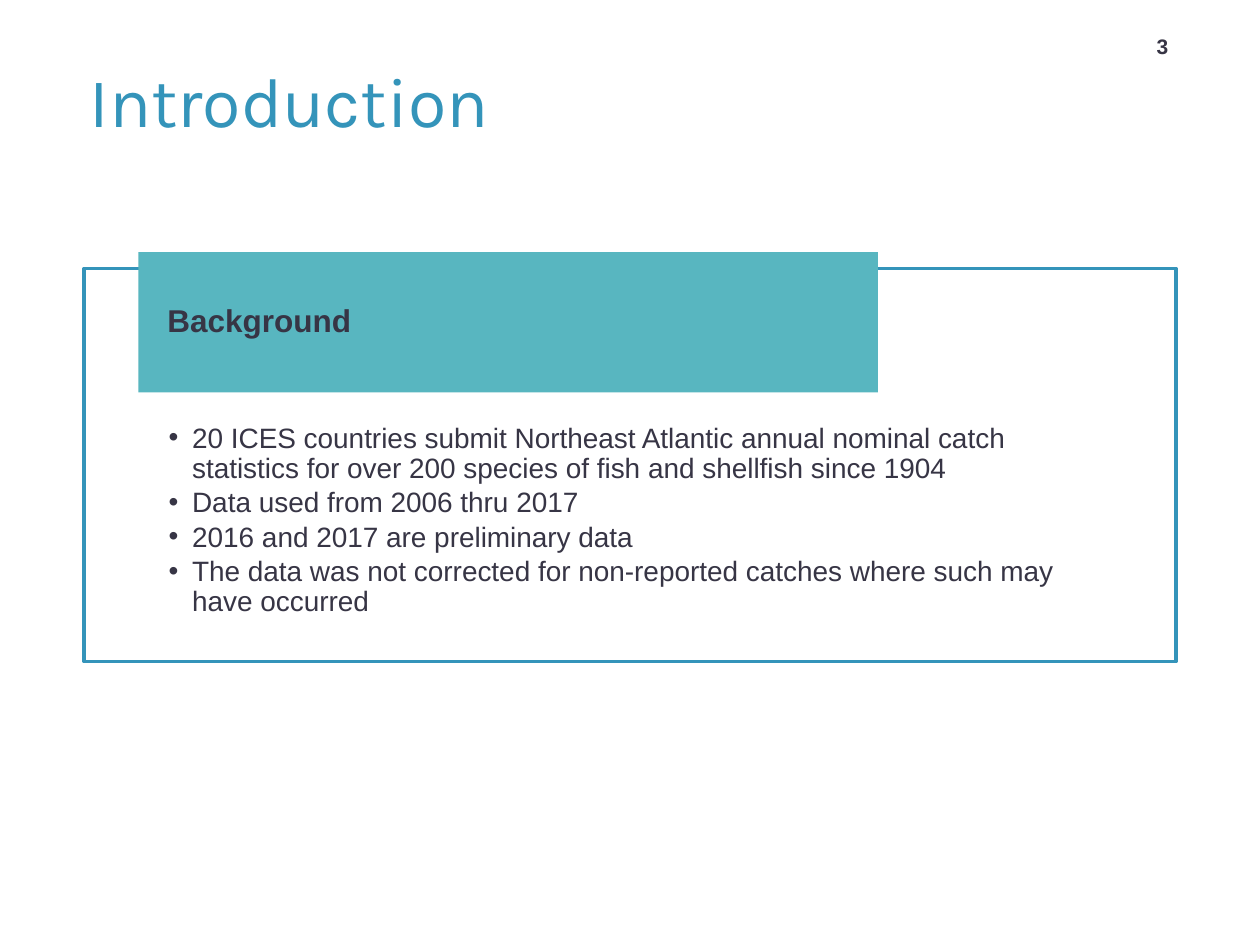
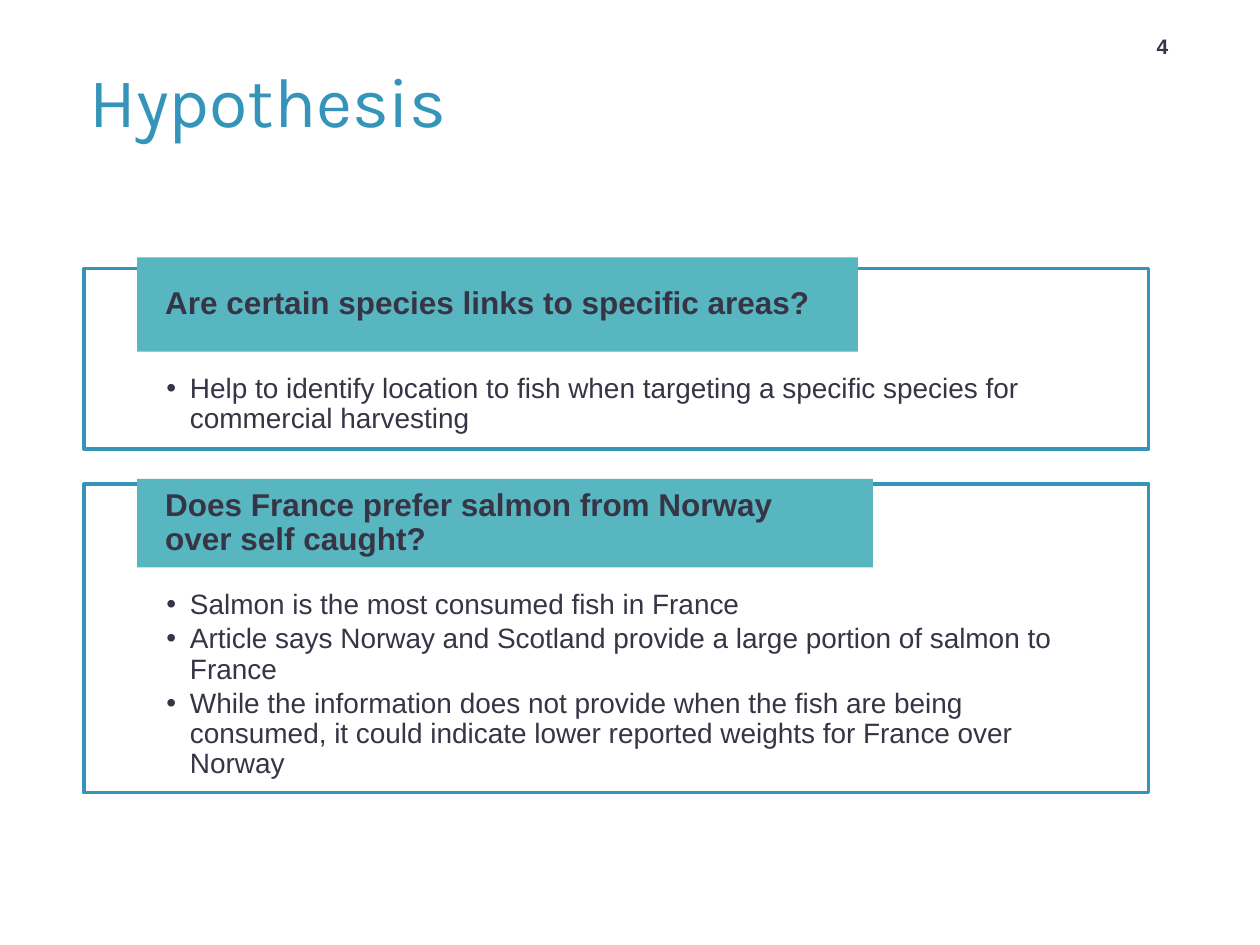
"""Build the introduction and hypothesis slides of a fisheries presentation."""
import dataclasses

import lxml.etree
import pptx
import pptx.dml.color
import pptx.enum.shapes
import pptx.enum.text
import pptx.oxml.ns
import pptx.util

Pt = pptx.util.Pt
Anchor = pptx.enum.text.MSO_ANCHOR
Align = pptx.enum.text.PP_ALIGN


@dataclasses.dataclass(frozen=True)
class Theme:
    blue: str = "3494BA"
    teal: str = "58B6C0"
    ink: str = "373545"
    title_font: str = "Karla"
    body_font: str = "Arial"
    title_size: float = 40
    heading_size: float = 18
    body_size: float = 16
    number_size: float = 12


@dataclasses.dataclass(frozen=True)
class Panel:
    top: float
    height: float
    band_top: float
    band_width: float
    band_height: float
    list_gap: float
    heading: str
    points: tuple

    @property
    def band_bottom(self):
        return self.band_top + self.band_height


class Deck:
    panel_left = 47.9
    band_offset_share = 0.05
    list_inset_share = 0.0775
    band_inset_share = 0.0265
    bullet_indent = 13.5

    def __init__(self, theme):
        self.theme = theme
        self.presentation = pptx.Presentation()
        self.presentation.slide_width = Pt(720)
        self.presentation.slide_height = Pt(540)
        self.slide = None

    def start_slide(self, title, number, list_count):
        layout = self.presentation.slide_layouts[{1: 1, 2: 3}[list_count]]
        self.slide = self.presentation.slides.add_slide(layout)
        self.add_title(title)
        self.add_number(number)

    def place(self, shape, left, top, width, height):
        shape.left, shape.top = Pt(left), Pt(top)
        shape.width, shape.height = Pt(width), Pt(height)

    def set_frame(self, shape, anchor, insets):
        frame = shape.text_frame
        frame.word_wrap = True
        frame.auto_size = pptx.enum.text.MSO_AUTO_SIZE.NONE
        frame.vertical_anchor = anchor
        (frame.margin_left, frame.margin_top,
         frame.margin_right, frame.margin_bottom) = map(Pt, insets)
        return frame

    def add_run(self, paragraph, text, size, color, font=None, bold=False):
        run = paragraph.add_run()
        run.text = text
        run.font.name = font or self.theme.body_font
        run.font.size = Pt(size)
        run.font.bold = bold
        run.font.color.rgb = pptx.dml.color.RGBColor.from_string(color)

    def set_indent(self, paragraph, left, first_line):
        properties = paragraph._p.get_or_add_pPr()
        properties.set("marL", str(Pt(left)))
        properties.set("indent", str(Pt(first_line)))
        return properties

    def add_title(self, text):
        title = self.slide.shapes.title
        self.place(title, 36.75, 30.25, 365, 53.25)
        paragraph = self.set_frame(title, Anchor.MIDDLE, (0, 3.6, 0, 3.6)).paragraphs[0]
        paragraph.alignment = Align.LEFT
        self.set_indent(paragraph, 14.4, 0)
        self.add_run(paragraph, text, self.theme.title_size, self.theme.blue,
                     self.theme.title_font)

    def add_number(self, number):
        box = self.slide.shapes.add_textbox(Pt(644.4), Pt(13.3), Pt(39.6), Pt(23.75))
        paragraph = self.set_frame(box, Anchor.BOTTOM, (7.2, 3.6, 7.2, 3.6)).paragraphs[0]
        paragraph.alignment = Align.CENTER
        self.add_run(paragraph, str(number), self.theme.number_size, self.theme.ink,
                     bold=True)

    def add_rectangle(self, left, top, width, height):
        rectangle = self.slide.shapes.add_shape(
            pptx.enum.shapes.MSO_SHAPE.RECTANGLE, Pt(left), Pt(top), Pt(width), Pt(height))
        rectangle.shadow.inherit = False
        return rectangle

    def add_outline(self, panel, width):
        outline = self.add_rectangle(self.panel_left, panel.top, width, panel.height)
        outline.fill.background()
        outline.line.color.rgb = pptx.dml.color.RGBColor.from_string(self.theme.blue)
        outline.line.width = Pt(2)

    def add_list(self, placeholder, panel, width):
        self.place(placeholder, self.panel_left, panel.band_bottom, width,
                   panel.top + panel.height - panel.band_bottom)
        side = width * self.list_inset_share
        frame = self.set_frame(placeholder, Anchor.TOP, (side, panel.list_gap, side, 0))
        for index, point in enumerate(panel.points):
            paragraph = frame.add_paragraph() if index else frame.paragraphs[0]
            paragraph.level = 1
            paragraph.line_spacing = 0.9
            paragraph.space_before = Pt(0)
            paragraph.space_after = Pt(0.15 * self.theme.body_size)
            properties = self.set_indent(paragraph, self.bullet_indent, -self.bullet_indent)
            bullet = lxml.etree.SubElement(properties, pptx.oxml.ns.qn("a:buChar"))
            bullet.set("char", "•")
            self.add_run(paragraph, point, self.theme.body_size, self.theme.ink)

    def add_band(self, panel, width):
        left = self.panel_left + width * self.band_offset_share
        band = self.add_rectangle(left, panel.band_top, panel.band_width, panel.band_height)
        band.fill.solid()
        band.fill.fore_color.rgb = pptx.dml.color.RGBColor.from_string(self.theme.teal)
        band.line.fill.background()
        side = width * self.band_inset_share
        paragraph = self.set_frame(band, Anchor.MIDDLE, (side, 0, side, 0)).paragraphs[0]
        paragraph.alignment = Align.LEFT
        paragraph.line_spacing = 0.9
        self.add_run(paragraph, panel.heading, self.theme.heading_size, self.theme.ink,
                     bold=True)

    def add_panel_slide(self, title, number, width, panels):
        self.start_slide(title, number, len(panels))
        for index, panel in enumerate(panels, start=1):
            self.add_outline(panel, width)
            self.add_list(self.slide.placeholders[index], panel, width)
            self.add_band(panel, width)


def main():
    deck = Deck(Theme())
    deck.add_panel_slide("Introduction", 3, 624.25, [
        Panel(153.5, 224.5, 144, 422.5, 80.25, 18, "Background", (
            "20 ICES countries submit Northeast Atlantic annual nominal catch "
            "statistics for over 200 species of fish and shellfish since 1904",
            "Data used from 2006 thru 2017",
            "2016 and 2017 are preliminary data",
            "The data was not corrected for non-reported catches where such may "
            "have occurred")),
    ])
    deck.add_panel_slide("Hypothesis", 4, 608.5, [
        Panel(153.5, 103, 147, 412, 54, 13,
              "Are certain species links to specific areas?", (
                  "Help to identify location to fish when targeting a specific "
                  "species for commercial harvesting",)),
        Panel(276.5, 176.5, 273.75, 420.5, 50.5, 13,
              "Does France prefer salmon from Norway over self caught?", (
                  "Salmon is the most consumed fish in France",
                  "Article says Norway and Scotland provide a large portion of "
                  "salmon to France",
                  "While the information does not provide when the fish are being "
                  "consumed, it could indicate lower reported weights for France "
                  "over Norway")),
    ])
    deck.presentation.save("out.pptx")


if __name__ == "__main__":
    main()
